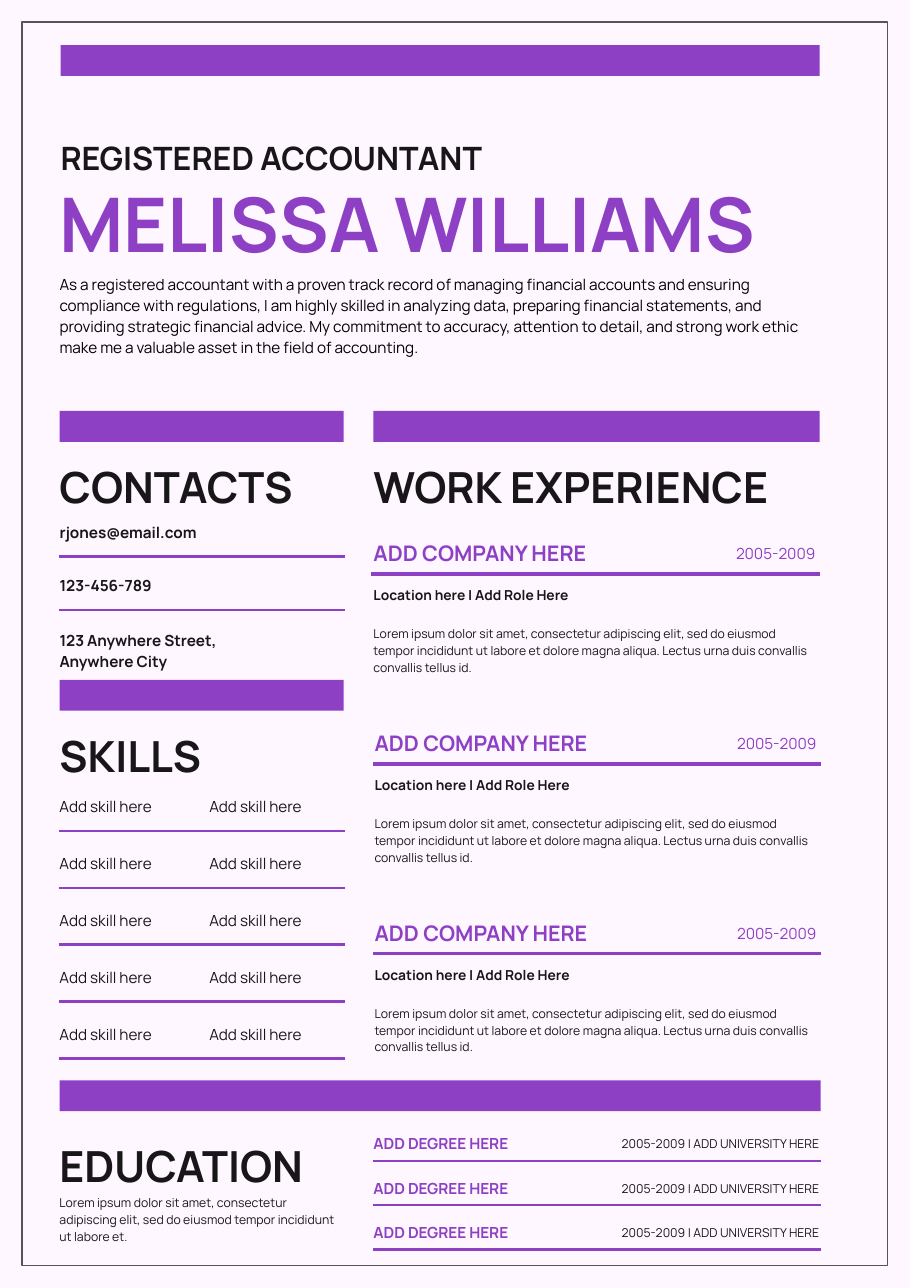
from dataclasses import dataclass

from lxml.etree import SubElement
from pptx import Presentation
from pptx.dml.color import RGBColor
from pptx.enum.shapes import MSO_CONNECTOR, MSO_SHAPE
from pptx.enum.text import MSO_ANCHOR, MSO_AUTO_SIZE, PP_ALIGN
from pptx.oxml.ns import qn
from pptx.util import Inches, Pt


@dataclass(frozen=True)
class Theme:
    font: str = "Manrope"
    paper: str = "FFF7FF"
    accent: str = "8E40C4"
    ink: str = "181619"
    black: str = "000000"
    frame: str = "555555"
    name: float = 49.2
    heading: float = 28
    role: float = 21
    company: float = 14
    body: float = 10
    label: float = 9
    small: float = 8
    thin: float = 0.72
    rule: float = 1.5
    thick: float = 2


# Page grid: square cells, ten to the inch
CELL = 0.1
COLS, ROWS = 82.6, 116.9
LEFT, RIGHT = 5.4, 74.4
SIDE_W = 25.8
MAIN = 33.9
BAR_H = 2.8

LOREM = ("Lorem ipsum dolor sit amet, consectetur adipiscing elit, sed do eiusmod "
         "tempor incididunt ut labore et")


def cells(*counts):
    return [Inches(n * CELL) for n in counts]


def rgb(code):
    return RGBColor.from_string(code)


class Resume:
    def __init__(self, prs, theme):
        self.t = theme
        self.s = prs.slides.add_slide(prs.slide_layouts[5])
        fill = self.s.background.fill
        fill.solid()
        fill.fore_color.rgb = rgb(theme.paper)

    def set_text(self, sp, text, size, color, bold, spacing, align):
        tf = sp.text_frame
        tf.word_wrap = True
        tf.auto_size = MSO_AUTO_SIZE.NONE
        tf.vertical_anchor = MSO_ANCHOR.TOP
        tf.margin_left = tf.margin_right = tf.margin_top = tf.margin_bottom = 0
        p = tf.paragraphs[0]
        p.alignment = align
        p.line_spacing = spacing
        r = p.add_run()
        r.text = text
        r.font.name = self.t.font
        r.font.size = Pt(size)
        r.font.bold = bold
        r.font.color.rgb = rgb(color or self.t.ink)

    def title(self, x, y, w, h, text):
        sp = self.s.shapes.title
        sp.left, sp.top, sp.width, sp.height = cells(x, y, w, h)
        self.set_text(sp, text, self.t.name, self.t.accent, True, 1.2, PP_ALIGN.LEFT)

    def text(self, x, y, w, h, text, size, color=None, bold=False,
             spacing=1.05, align=PP_ALIGN.LEFT):
        sp = self.s.shapes.add_textbox(*cells(x, y, w, h))
        self.set_text(sp, text, size, color, bold, spacing, align)

    def heading(self, x, y, w, text):
        self.text(x, y, w, 4.9, text, self.t.heading, bold=True, spacing=1.2)

    def box(self, x, y, w, h):
        sp = self.s.shapes.add_shape(MSO_SHAPE.RECTANGLE, *cells(x, y, w, h))
        sp.shadow.inherit = False
        return sp

    def bar(self, x, y, w):
        sp = self.box(x, y, w, BAR_H)
        sp.fill.solid()
        sp.fill.fore_color.rgb = rgb(self.t.accent)
        sp.line.fill.background()

    def frame(self, margin):
        sp = self.box(margin, margin, COLS - 2 * margin, ROWS - 2 * margin)
        sp.fill.background()
        sp.line.color.rgb = rgb(self.t.frame)
        sp.line.width = Pt(self.t.thin)

    def rule(self, x1, x2, y, width):
        line = self.s.shapes.add_connector(MSO_CONNECTOR.STRAIGHT, *cells(x1, y, x2, y))
        line.line.color.rgb = rgb(self.t.accent)
        line.line.width = Pt(width)
        SubElement(line._element.spPr, qn("a:effectLst"))


def main():
    prs = Presentation()
    prs.slide_width, prs.slide_height = cells(COLS, ROWS)
    t = Theme()
    cv = Resume(prs, t)
    side_end = LEFT + SIDE_W + 0.1

    # Name and profile
    cv.bar(5.5, 4.1, 68.9)
    cv.title(LEFT, 14.4, 69.1, 8.6, "MELISSA WILLIAMS")
    cv.text(5.5, 10.6, 40.7, 4.3, "REGISTERED ACCOUNTANT", t.role, bold=True, spacing=1.57)
    cv.text(LEFT, 24.7, 68.9, 7.5,
            "As a registered accountant with a proven track record of managing financial "
            "accounts and ensuring compliance with regulations, I am highly skilled in "
            "analyzing data, preparing financial statements, and providing strategic "
            "financial advice. My commitment to accuracy, attention to detail, and strong "
            "work ethic make me a valuable asset in the field of accounting.",
            t.body, t.black, spacing=1.15)

    # Contacts
    cv.bar(LEFT, 37.3, SIDE_W)
    cv.heading(LEFT, 40.9, 24.4, "CONTACTS")
    for i, contact in enumerate(("rjones@email.com", "123-456-789")):
        y = 47.4 + 4.85 * i
        cv.text(LEFT, y, 21.5, 1.5, contact, t.body, bold=True)
        cv.rule(LEFT, side_end, y + 3.1, t.rule)
    cv.text(LEFT, 57, 18.8, 3.6, "123 Anywhere Street, Anywhere City", t.body,
            bold=True, spacing=1.15)

    # Skills
    cv.bar(LEFT, 61.7, SIDE_W)
    cv.heading(LEFT, 65.3, 24.4, "SKILLS")
    for i in range(5):
        y = 72.3 + 5.17 * i
        for x, w in ((LEFT, 11), (19, 12.2)):
            cv.text(x, y, w, 1.5, "Add skill here", t.body)
        cv.rule(LEFT, side_end, y + 3.1, t.rule)

    # Work experience
    cv.bar(MAIN, 37.3, 40.5)
    cv.heading(MAIN, 40.9, 40.5, "WORK EXPERIENCE")
    for i, (x, start) in enumerate(((MAIN, 33.7), (34, MAIN), (34, MAIN))):
        y = 48.9 + 17.24 * i
        cv.text(x, y, 27.4, 2.4, "ADD COMPANY HERE", t.company, t.accent, True, 1.04)
        cv.text(x + 30.7, y + 0.4, 9.4, 1.7, "2005-2009", t.body, t.accent,
                align=PP_ALIGN.RIGHT)
        cv.rule(start, x + 40.5, y + 3.2, t.thick)
        cv.text(x, y + 4.3, 20.7, 1.5, "Location here | Add Role Here", t.label,
                bold=True, spacing=1.03)
        cv.text(x, y + 7.74, 40.2, 4.4,
                LOREM + " dolore magna aliqua. Lectus urna duis convallis convallis tellus id.",
                t.small, spacing=1.15)

    # Education
    cv.bar(LEFT, 98.05, 69.1)
    cv.heading(LEFT, 102.5, 24.4, "EDUCATION")
    cv.text(LEFT, 108.3, 25.6, 4.4, LOREM + ".", t.small, spacing=1.15)
    for i in range(3):
        y = 102.9 + 4.03 * i
        cv.text(MAIN, y, 27.4, 1.5, "ADD DEGREE HERE", t.body, t.accent, True)
        cv.text(53.1, y + 0.2, 21.3, 1.3, "2005-2009 | ADD UNIVERSITY HERE", t.small,
                spacing=1.04, align=PP_ALIGN.RIGHT)
        cv.rule(MAIN, RIGHT + 0.1, y + 2.45, t.rule)

    # Page frame
    cv.frame(2)
    prs.save("out.pptx")


if __name__ == "__main__":
    main()
